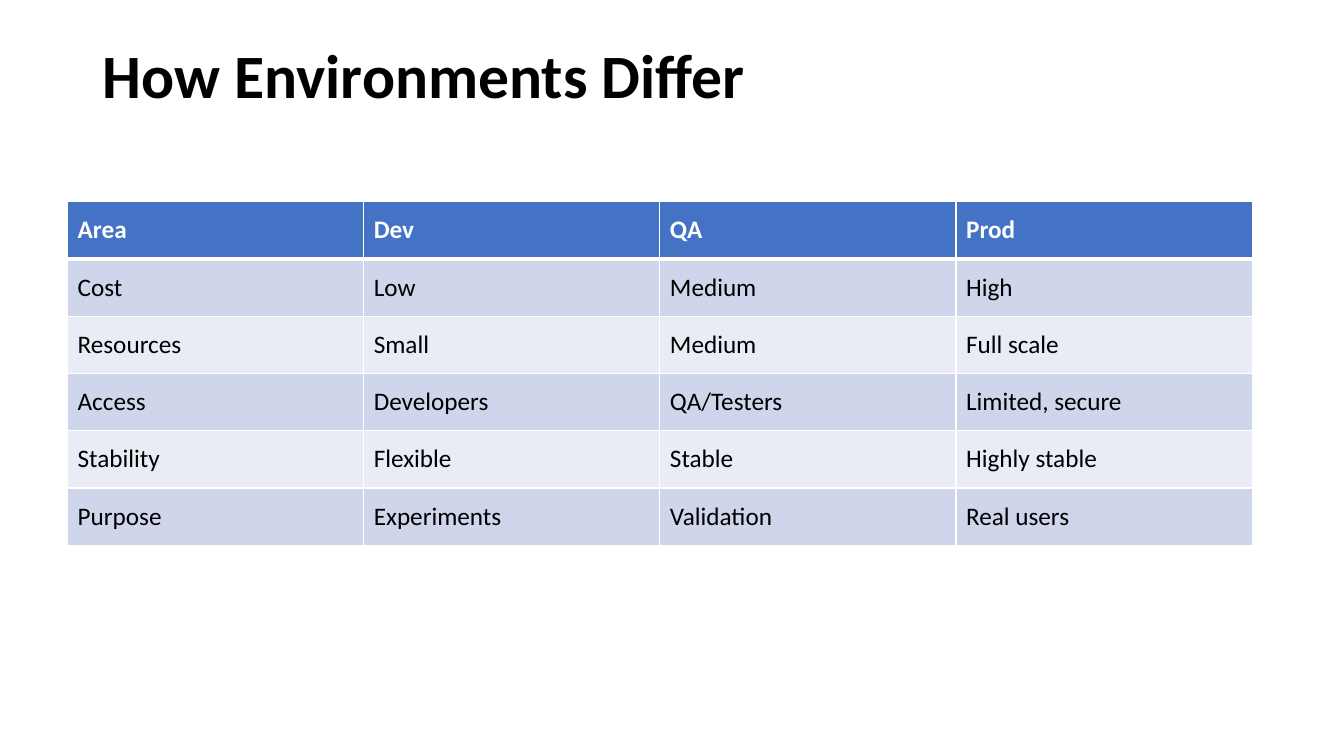
from lxml.etree import SubElement
from pptx import Presentation
from pptx.dml.color import RGBColor
from pptx.enum.text import MSO_ANCHOR, PP_ALIGN
from pptx.oxml.ns import qn
from pptx.util import Inches, Pt

WHITE, BLACK = "FFFFFF", "000000"
HEADER_FILL = "4472C4"
BAND_FILLS = ("CFD5EA", "E9EBF5")
ENVIRONMENT_ROWS = [
    ("Area", "Dev", "QA", "Prod"),
    ("Cost", "Low", "Medium", "High"),
    ("Resources", "Small", "Medium", "Full scale"),
    ("Access", "Developers", "QA/Testers", "Limited, secure"),
    ("Stability", "Flexible", "Stable", "Highly stable"),
    ("Purpose", "Experiments", "Validation", "Real users"),
]


def color(value):
    """Return the colour for a hex string."""
    return RGBColor.from_string(value)


def write_text(text_frame, text, size=18, fill=BLACK, bold=False, line_spacing=1.0):
    """Write one left-aligned paragraph with the given format."""
    paragraph = text_frame.paragraphs[0]
    paragraph.alignment = PP_ALIGN.LEFT
    paragraph.line_spacing = line_spacing
    run = paragraph.add_run()
    run.text = text
    run.font.name = "Calibri"
    run.font.size = Pt(size)
    run.font.bold = bold
    run.font.color.rgb = color(fill)


def set_borders(cell, top=1, bottom=1):
    """Give a cell white borders, with widths in points."""
    properties = cell._tc.get_or_add_tcPr()
    for side, width in (("L", 1), ("R", 1), ("T", top), ("B", bottom)):
        line = SubElement(properties, qn(f"a:ln{side}"), w=str(Pt(width)))
        SubElement(SubElement(line, qn("a:solidFill")), qn("a:srgbClr"), val=WHITE)


def add_title(slide, text):
    """Place and format the title placeholder."""
    title = slide.shapes.title
    title.left, title.top = Inches(0.92), Inches(0.4)
    title.width, title.height = Inches(11.5), Inches(1.45)
    title.text_frame.word_wrap = True
    title.text_frame.vertical_anchor = MSO_ANCHOR.TOP
    write_text(title.text_frame, text, size=44, bold=True, line_spacing=0.9)


def add_banded_table(slide, rows, left, top, width, height):
    """Add a table with a header row and alternating body fills."""
    table = slide.shapes.add_table(
        len(rows), len(rows[0]), left, top, width, height
    ).table
    for row_index, row in enumerate(rows):
        is_header = row_index == 0
        fill = HEADER_FILL if is_header else BAND_FILLS[(row_index - 1) % 2]
        for column_index, text in enumerate(row):
            cell = table.cell(row_index, column_index)
            set_borders(
                cell,
                top=3 if row_index == 1 else 1,
                bottom=3 if is_header else 1,
            )
            cell.fill.solid()
            cell.fill.fore_color.rgb = color(fill)
            cell.vertical_anchor = MSO_ANCHOR.MIDDLE
            write_text(
                cell.text_frame, text, fill=WHITE if is_header else BLACK, bold=is_header
            )


def main():
    """Build the slide and save it."""
    presentation = Presentation()
    presentation.slide_width = Inches(13.33)
    presentation.slide_height = Inches(7.5)
    slide = presentation.slides.add_slide(presentation.slide_layouts[5])
    add_title(slide, "How Environments Differ")
    add_banded_table(
        slide, ENVIRONMENT_ROWS, Inches(0.67), Inches(2), Inches(11.75), Inches(3.41)
    )
    presentation.save("out.pptx")


if __name__ == "__main__":
    main()
